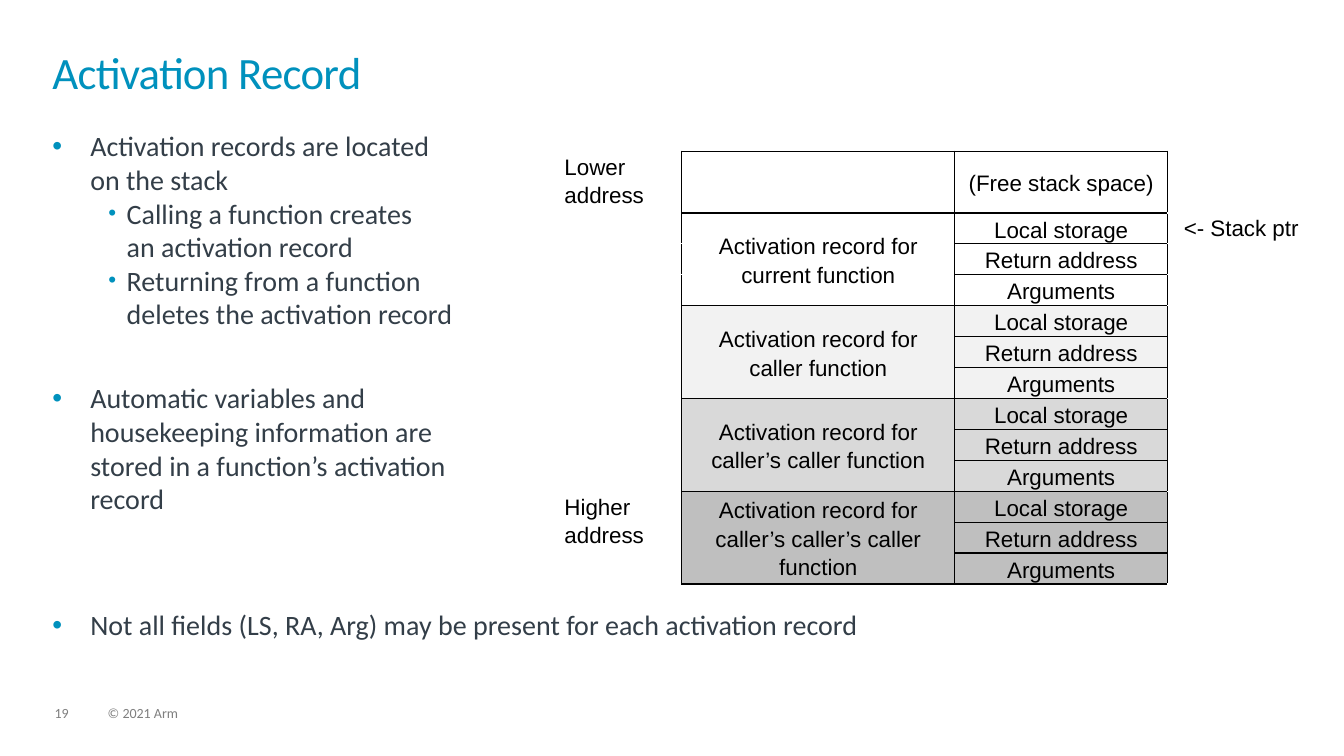
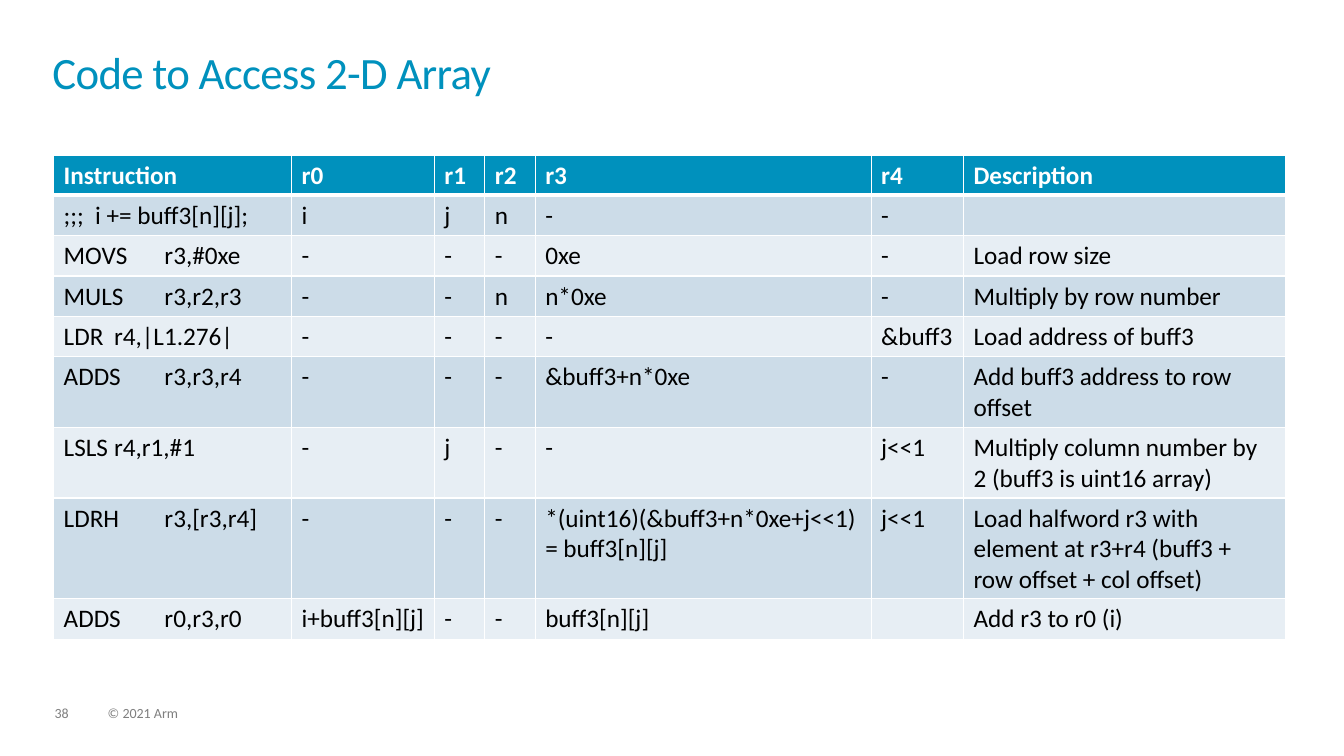
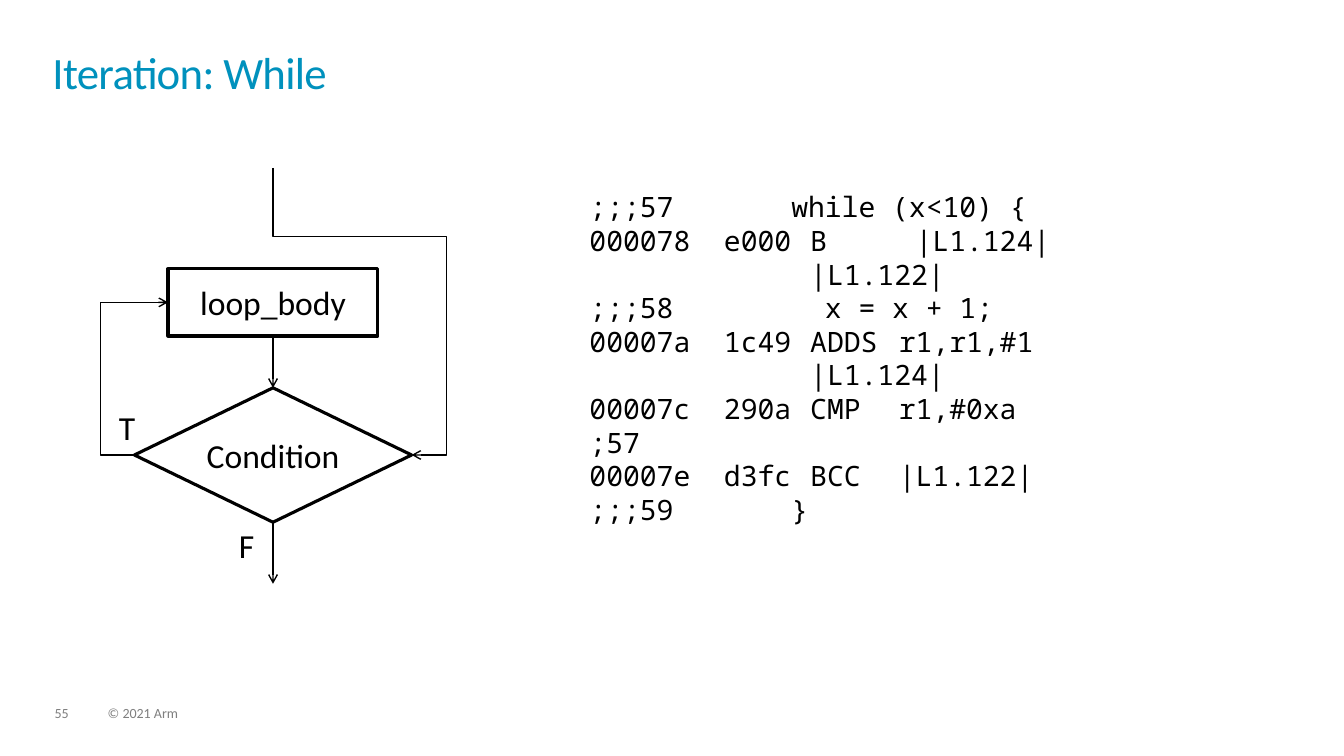
"""Builds three lecture slides on activation records, 2-D arrays and while loops."""
import lxml.etree
import pptx
import pptx.chart.data
import pptx.dml.color
import pptx.enum.shapes
import pptx.enum.text
import pptx.oxml
import pptx.oxml.ns
import pptx.util

Pt = pptx.util.Pt
qn = pptx.oxml.ns.qn
CENTER = pptx.enum.text.PP_ALIGN.CENTER
MIDDLE = pptx.enum.text.MSO_ANCHOR.MIDDLE
SHAPE = pptx.enum.shapes.MSO_SHAPE
CONNECTOR = pptx.enum.shapes.MSO_CONNECTOR
COLORS = {
    "accent": "0091BD", "body": "333E48", "footer": "7F7F7F", "black": "000000",
    "white": "FFFFFF", "band dark": "CCDCE8", "band light": "E7EEF4",
    "caller": "F2F2F2", "second caller": "D9D9D9", "third caller": "BFBFBF",
}
RGB = {name: pptx.dml.color.RGBColor.from_string(value) for name, value in COLORS.items()}


def write(frame, lines, size, color, face="Calibri", align=None, spacing=None, inset=(0, 0), wrap=True):
    """Fill a text frame with equally styled paragraphs and return them."""
    frame.margin_left = frame.margin_right = Pt(inset[0])
    frame.margin_top = frame.margin_bottom = Pt(inset[1])
    if wrap is not None:
        frame.word_wrap = wrap
    paras = [frame.paragraphs[0]] + [frame.add_paragraph() for line in lines[1:]]
    for para, line in zip(paras, lines):
        para.text = line
        para.alignment = align
        para.line_spacing = spacing
        para.font.name = face
        para.font.size = Pt(size)
        para.font.color.rgb = RGB[color]
    return paras


def outline(cell, color, widths):
    """Draw the cell borders whose widths are given by side letter."""
    props = cell._tc.get_or_add_tcPr()
    for place, (side, width) in enumerate(widths.items()):
        line = lxml.etree.Element(qn("a:ln" + side), w=str(Pt(width)))
        fill = lxml.etree.SubElement(line, qn("a:solidFill"))
        lxml.etree.SubElement(fill, qn("a:srgbClr"), val=COLORS[color])
        props.insert(place, line)


deck = pptx.Presentation()
deck.slide_width, deck.slide_height = Pt(960), Pt(540)

pages = []
for title, number in [("Activation Record", "19"), ("Code to Access 2-D Array", "38"), ("Iteration: While", "55")]:
    page = deck.slides.add_slide(deck.slide_layouts[6])
    box = page.shapes.add_textbox(Pt(37.5), Pt(37.5), Pt(884), Pt(52))
    heading = write(box.text_frame, [title], 32, "accent", spacing=0.85)[0]
    heading.font._rPr.set("spc", "-50")
    for left, width, words in [(39, 24.5, number), (77, 365, "© 2021 Arm")]:
        box = page.shapes.add_textbox(Pt(left), Pt(504.7), Pt(width), Pt(11))
        write(box.text_frame, [words], 10, "footer", spacing=0.9)
    pages.append(page)
record_page, array_page, loop_page = pages

bullets = [
    (0, 0, "Activation records are located\non the stack"),
    (1, 0, "Calling a function creates \nan activation record"),
    (1, 0, "Returning from a function \ndeletes the activation record"),
    (0, 36, "Automatic variables and\nhousekeeping information are \nstored in a function’s activation\nrecord"),
    (0, 66, "Not all fields (LS, RA, Arg) may be present for each activation record"),
]
bullet_styles = [(27, -27, 100), (53, -13, 80)]
box = record_page.shapes.add_textbox(Pt(37.5), Pt(92), Pt(884), Pt(390))
frame = box.text_frame
for index, (level, before, words) in enumerate(bullets):
    para = frame.add_paragraph() if index else frame.paragraphs[0]
    para.text = words
    para.level = level
    margin, indent, percent = bullet_styles[level]
    props = para._p.get_or_add_pPr()
    props.set("marL", str(Pt(margin)))
    props.set("indent", str(Pt(indent)))
    tint = lxml.etree.SubElement(props, qn("a:buClr"))
    lxml.etree.SubElement(tint, qn("a:srgbClr"), val=COLORS["accent"])
    lxml.etree.SubElement(props, qn("a:buSzPct"), val=str(percent * 1000))
    lxml.etree.SubElement(props, qn("a:buFont"), typeface="Arial")
    lxml.etree.SubElement(props, qn("a:buChar"), char="•")
    if before:
        para.space_before = Pt(before)
    para.font.name = "Calibri"
    para.font.size = Pt(20)
    para.font.color.rgb = RGB["body"]
frame.word_wrap = True
frame.margin_left = frame.margin_right = frame.margin_top = frame.margin_bottom = 0

records = [
    ("current function", None), ("caller function", "caller"),
    ("caller’s caller function", "second caller"), ("caller’s caller’s caller function", "third caller"),
]
fields = ["Local storage", "Return address", "Arguments"]
stack_words = {(0, 0): "Lower address", (0, 2): "(Free stack space)", (1, 3): " <- Stack ptr", (10, 0): "Higher address"}
stack_fills = {}
for index, (owner, fill) in enumerate(records):
    top = 1 + index * len(fields)
    stack_words[top, 1] = "Activation record for " + owner
    for offset, field in enumerate(fields):
        stack_words[top + offset, 2] = field
        stack_fills[top + offset] = fill
stack = record_page.shapes.add_table(13, 4, Pt(396), Pt(108), Pt(540), Pt(288.4)).table
stack.first_row = stack.horz_banding = False
for column, width in zip(stack.columns, [91, 195, 152, 102]):
    column.width = Pt(width)
stack_borders = [{"R": 1}, {"L": 1, "R": 1, "T": 1, "B": 1}, {"L": 1, "R": 1, "T": 1, "B": 1}, {"L": 1}]
for row_index, row in enumerate(stack.rows):
    row.height = Pt(20.6 if row_index else 41.2)
    for column_index, cell in enumerate(row.cells):
        inner = column_index in (1, 2)
        words = stack_words.get((row_index, column_index), "")
        write(cell.text_frame, [words], 16, "black", "Arial", CENTER if inner else None, 1.15, wrap=None)
        cell.margin_left = cell.margin_right = Pt(7.2)
        cell.margin_top = cell.margin_bottom = 0
        if inner:
            cell.vertical_anchor = MIDDLE
        if inner and stack_fills.get(row_index):
            cell.fill.solid()
            cell.fill.fore_color.rgb = RGB[stack_fills[row_index]]
        else:
            cell.fill.background()
        outline(cell, "black", stack_borders[column_index])
for top in range(1, 13, 3):
    for column_index in [1] if top == 1 else [0, 1, 3]:
        stack.cell(top, column_index).merge(stack.cell(top + 2, column_index))

steps = [
    ["Instruction", "r0", "r1", "r2", "r3", "r4", "Description"],
    [";;;  i += buff3[n][j];", "i", "j", "n", "-", "-", ""],
    ["MOVS\tr3,#0xe", "-", "-", "-", "0xe", "-", "Load row size"],
    ["MULS\tr3,r2,r3", "-", "-", "n", "n*0xe", "-", "Multiply by row number"],
    ["LDR \tr4,|L1.276|", "-", "-", "-", "-", "&buff3", "Load address of buff3"],
    ["ADDS \tr3,r3,r4", "-", "-", "-", "&buff3+n*0xe", "-", "Add buff3 address to row offset"],
    ["LSLS\tr4,r1,#1", "-", "j", "-", "-", "j<<1", "Multiply column number by 2 (buff3 is uint16 array)"],
    ["LDRH\tr3,[r3,r4]", "-", "-", "-", "*(uint16)(&buff3+n*0xe+j<<1)\n= buff3[n][j]", "j<<1",
     "Load halfword r3 with element at r3+r4 (buff3 + row offset + col offset)"],
    ["ADDS\tr0,r3,r0", "i+buff3[n][j]", "-", "-", "buff3[n][j]", "", "Add r3 to r0 (i)"],
]
trace = array_page.shapes.add_table(9, 7, Pt(38.3), Pt(110.7), Pt(880), Pt(226.8)).table
for column, width in zip(trace.columns, [170, 102, 36, 36, 240, 66, 230]):
    column.width = Pt(width)
for row_index, (row, step) in enumerate(zip(trace.rows, steps)):
    row.height = Pt(25.2)
    band = ("band light", "band dark")[row_index % 2] if row_index else "accent"
    widths = {"L": 1, "R": 1, "T": 3 if row_index == 1 else 1, "B": 1 if row_index else 3}
    for cell, words in zip(row.cells, step):
        paras = write(cell.text_frame, words.split("\n"), 18, "black" if row_index else "white", wrap=None)
        for para in paras:
            para.font.bold = row_index == 0
        cell.margin_left = cell.margin_right = Pt(7.2)
        cell.margin_top = cell.margin_bottom = Pt(3.6 if row_index else 3.6)
        cell.fill.solid()
        cell.fill.fore_color.rgb = RGB[band]
        outline(cell, "white", widths)

code = [
    ";;;57       while (x<10) {",
    "000078  e000 \tB\t |L1.124|",
    "             \t|L1.122|",
    ";;;58         x = x + 1;",
    "00007a  1c49 \tADDS \tr1,r1,#1",
    "\t|L1.124|",
    "00007c  290a \tCMP  \tr1,#0xa               ;57",
    "00007e  d3fc \tBCC  \t|L1.122|",
    ";;;59       }",
]
box = loop_page.shapes.add_textbox(Pt(414), Pt(132), Pt(501), Pt(250))
for para in write(box.text_frame, code, 20, "black", "Noto Sans Mono", spacing=Pt(24), inset=(7.2, 3.6)):
    tabs = lxml.etree.Element(qn("a:tabLst"))
    for stop in (157.7, 221):
        lxml.etree.SubElement(tabs, qn("a:tab"), pos=str(Pt(stop)), algn="l")
    para._p.pPr.find(qn("a:defRPr")).addprevious(tabs)

nodes = []
for kind, left, top, width, height, words in [
    (SHAPE.DIAMOND, 96, 277, 198, 96, "Condition"),
    (SHAPE.RECTANGLE, 120, 192, 150, 48, "loop_body"),
]:
    node = loop_page.shapes.add_shape(kind, Pt(left), Pt(top), Pt(width), Pt(height))
    node.shadow.inherit = False
    node.fill.background()
    node.line.color.rgb = RGB["black"]
    node.line.width = Pt(2.25)
    write(node.text_frame, [words], 24, "black", align=CENTER)
    node.text_frame.vertical_anchor = MIDDLE
    nodes.append(node)
condition, loop_body = nodes

for left, top, words in [(85, 291, "T"), (170.6, 375, "F")]:
    box = loop_page.shapes.add_textbox(Pt(left), Pt(top), Pt(22), Pt(30))
    write(box.text_frame, [words], 24, "black", wrap=False)

arrows = [
    (CONNECTOR.ELBOW, (195, 120, 294, 325), None, (condition, 3), "bentConnector4", [24000, 125000]),
    (CONNECTOR.STRAIGHT, (195, 240, 195, 277), (loop_body, 2), (condition, 0), "line", []),
    (CONNECTOR.ELBOW, (96, 325, 120, 216), (condition, 1), (loop_body, 1), "bentConnector3", [-100000]),
    (CONNECTOR.STRAIGHT, (195, 373, 195, 417), (condition, 2), None, "line", []),
]
for kind, ends, source, target, preset, adjustments in arrows:
    arrow = loop_page.shapes.add_connector(kind, *[Pt(value) for value in ends])
    if source:
        arrow.begin_connect(*source)
    if target:
        arrow.end_connect(*target)
    arrow.line.color.rgb = RGB["black"]
    arrow.line.width = Pt(1)
    props = arrow._element.spPr
    lxml.etree.SubElement(arrow.line._get_or_add_ln(), qn("a:tailEnd"), type="arrow")
    lxml.etree.SubElement(props, qn("a:effectLst"))
    geometry = props.find(qn("a:prstGeom"))
    geometry.set("prst", preset)
    guides = geometry.find(qn("a:avLst"))
    for index, value in enumerate(adjustments, 1):
        lxml.etree.SubElement(guides, qn("a:gd"), name=f"adj{index}", fmla=f"val {value}")
    if preset == "bentConnector4":
        arrow.left, arrow.top, arrow.width, arrow.height = Pt(142), Pt(173), Pt(205), Pt(99)
        props.xfrm.set("rot", "16200000")
        props.xfrm.set("flipH", "1")

deck.save("out.pptx")
